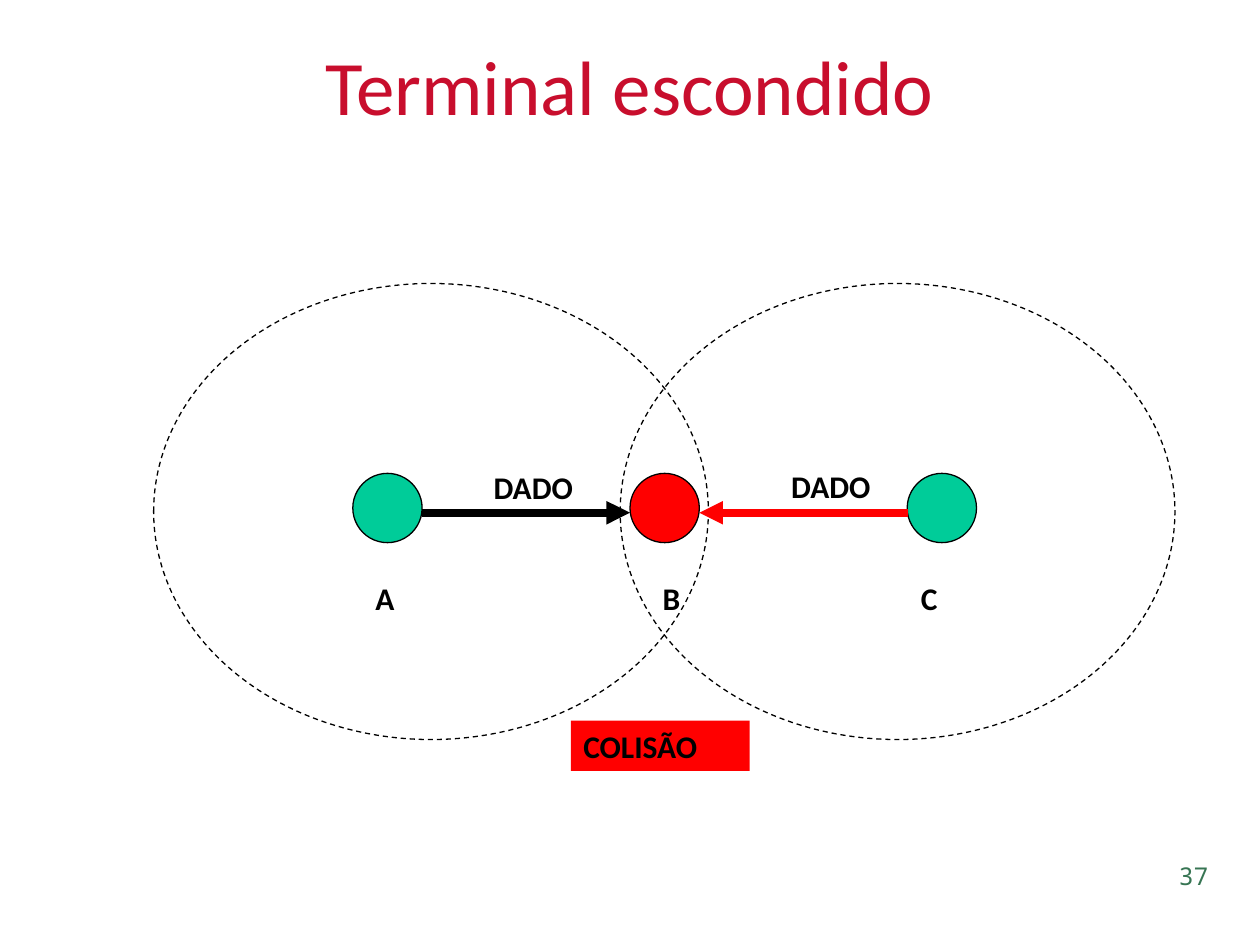
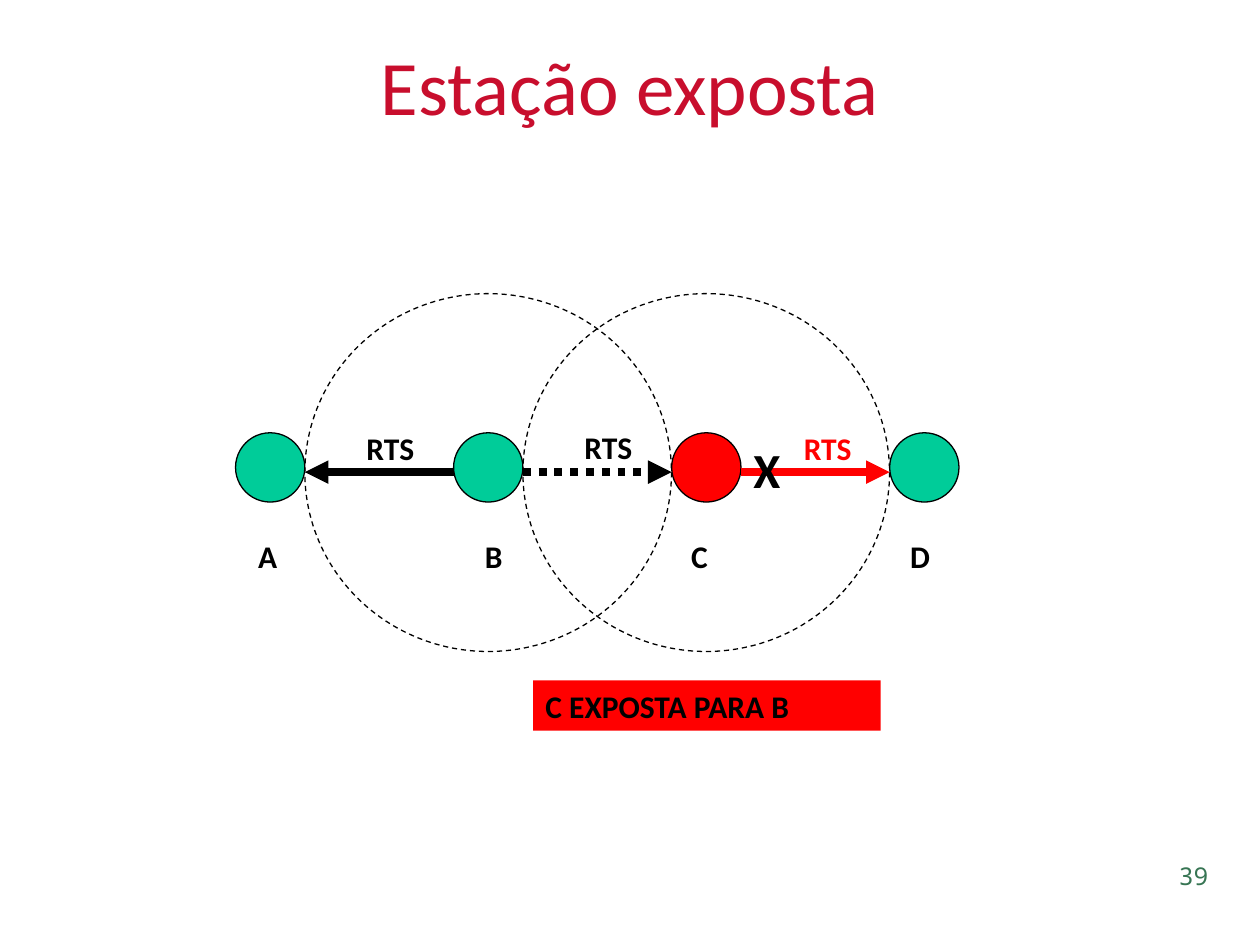
from lxml import etree
from pptx import Presentation
from pptx.dml.color import RGBColor
from pptx.enum.dml import MSO_LINE_DASH_STYLE as DASH
from pptx.enum.shapes import MSO_CONNECTOR as CONN, MSO_SHAPE as SHAPE
from pptx.enum.text import MSO_ANCHOR as ANCHOR, PP_ALIGN as ALIGN
from pptx.oxml.ns import qn
from pptx.util import Pt

BLACK, RED, GREEN = "000000", "FF0000", "00CC99"
TITLE_RED, PAGE_GREEN = "C80E2D", "377553"
D = 39.6        # station diameter
LINE_H = 28.8   # height of a one-line label


def rgb(value):
    return RGBColor.from_string(value)


def add_text(s, text, x, y, w, h=LINE_H, size=18, font="Calibri", color=BLACK,
             bold=True, align=ALIGN.LEFT, anchor=ANCHOR.TOP, fill=None):
    if fill:
        sp = s.shapes.add_shape(SHAPE.RECTANGLE, Pt(x), Pt(y), Pt(w), Pt(h))
        sp.shadow.inherit = False
        sp.fill.solid()
        sp.fill.fore_color.rgb = rgb(fill)
        sp.line.fill.background()
    else:
        sp = s.shapes.add_textbox(Pt(x), Pt(y), Pt(w), Pt(h))
    tf = sp.text_frame
    tf.word_wrap = True
    tf.vertical_anchor = anchor
    p = tf.paragraphs[0]
    p.alignment = align
    r = p.add_run()
    r.text = text
    r.font.size, r.font.name, r.font.bold = Pt(size), font, bold
    r.font.color.rgb = rgb(color)


# Stations: letter, label left, fill; the circles are evenly spaced
# Arrows: x from, x to, colour, dash
# Texts: text, left, top, width, format
slides = [
    dict(title="Terminal escondido", page="37",
         first=201.6, step=158.4, top=270.5, label_top=327.3,
         stations=[("A", 207.4, GREEN), ("B", 371.5, RED), ("C", 519.1, GREEN)],
         rings=[(87.8, 162, 317, 260.6), (354.4, 162, 317, 260.6)],
         arrow_y=293,
         arrows=[(241.2, 360, BLACK, None), (518.8, 399.6, RED, None)],
         texts=[("DADO", 275, 264, 73.4, {}),
                ("DADO", 445, 263.5, 73.4, {}),
                ("COLISÃO", 326.2, 411.8, 102.2, dict(fill=RED))]),
    dict(title="Estação exposta", page="39",
         first=134.6, step=124.6, top=247.3, label_top=303.1,
         stations=[("A", 140.4, GREEN), ("B", 270, GREEN),
                   ("C", 387.8, RED), ("D", 513, GREEN)],
         rings=[(174.2, 167.8, 209.5, 204.5), (298.8, 167.8, 209.5, 204.5)],
         arrow_y=269.8,
         arrows=[(259.2, 174.2, BLACK, None),
                 (298.8, 383.8, BLACK, DASH.ROUND_DOT),
                 (423.4, 508.4, RED, None)],
         texts=[("RTS", 202.3, 241.9, 73.4, {}),
                ("RTS", 326.9, 241.2, 73.4, {}),
                ("RTS", 452.2, 241.9, 73.4, dict(color=RED)),
                ("X", 423.4, 247.7, D, dict(h=41, size=28)),
                ("C EXPOSTA PARA B", 304.6, 388.8, 198.7, dict(fill=RED))]),
]

prs = Presentation()
prs.slide_width, prs.slide_height = Pt(720), Pt(540)

for data in slides:
    s = prs.slides.add_slide(prs.slide_layouts[6])

    # Title and page number
    add_text(s, data["title"], 36, 3.6, 648, 90, size=44, color=TITLE_RED,
             bold=False, align=ALIGN.CENTER, anchor=ANCHOR.MIDDLE)
    add_text(s, data["page"], 613.4, 488.2, 84.2, 23.8, size=14,
             font="Noto Sans Mono", color=PAGE_GREEN, bold=False,
             align=ALIGN.RIGHT)

    # Radio ranges, then stations
    ovals = [(*ring, None) for ring in data["rings"]]
    for i, (letter, label_x, fill) in enumerate(data["stations"]):
        ovals.append((data["first"] + i * data["step"], data["top"], D, D, fill))
        add_text(s, letter, label_x, data["label_top"], D)
    for x, y, w, h, fill in ovals:
        sp = s.shapes.add_shape(SHAPE.OVAL, Pt(x), Pt(y), Pt(w), Pt(h))
        sp.shadow.inherit = False
        sp.line.color.rgb = rgb(BLACK)
        sp.line.width = Pt(0.75)
        if fill:
            sp.fill.solid()
            sp.fill.fore_color.rgb = rgb(fill)
        else:
            sp.fill.background()
            sp.line.dash_style = DASH.DASH

    # Transmissions
    for x1, x2, color, dash in data["arrows"]:
        y = Pt(data["arrow_y"])
        cn = s.shapes.add_connector(CONN.STRAIGHT, Pt(x1), y, Pt(x2), y)
        cn.line.color.rgb = rgb(color)
        cn.line.width = Pt(4.5)
        if dash:
            cn.line.dash_style = dash
        sp_pr = cn._element.spPr
        etree.SubElement(sp_pr.find(qn("a:ln")), qn("a:tailEnd"), type="triangle")
        etree.SubElement(sp_pr, qn("a:effectLst"))

    # Message names and the outcome
    for text, x, y, w, fmt in data["texts"]:
        add_text(s, text, x, y, w, **fmt)

prs.save("out.pptx")
